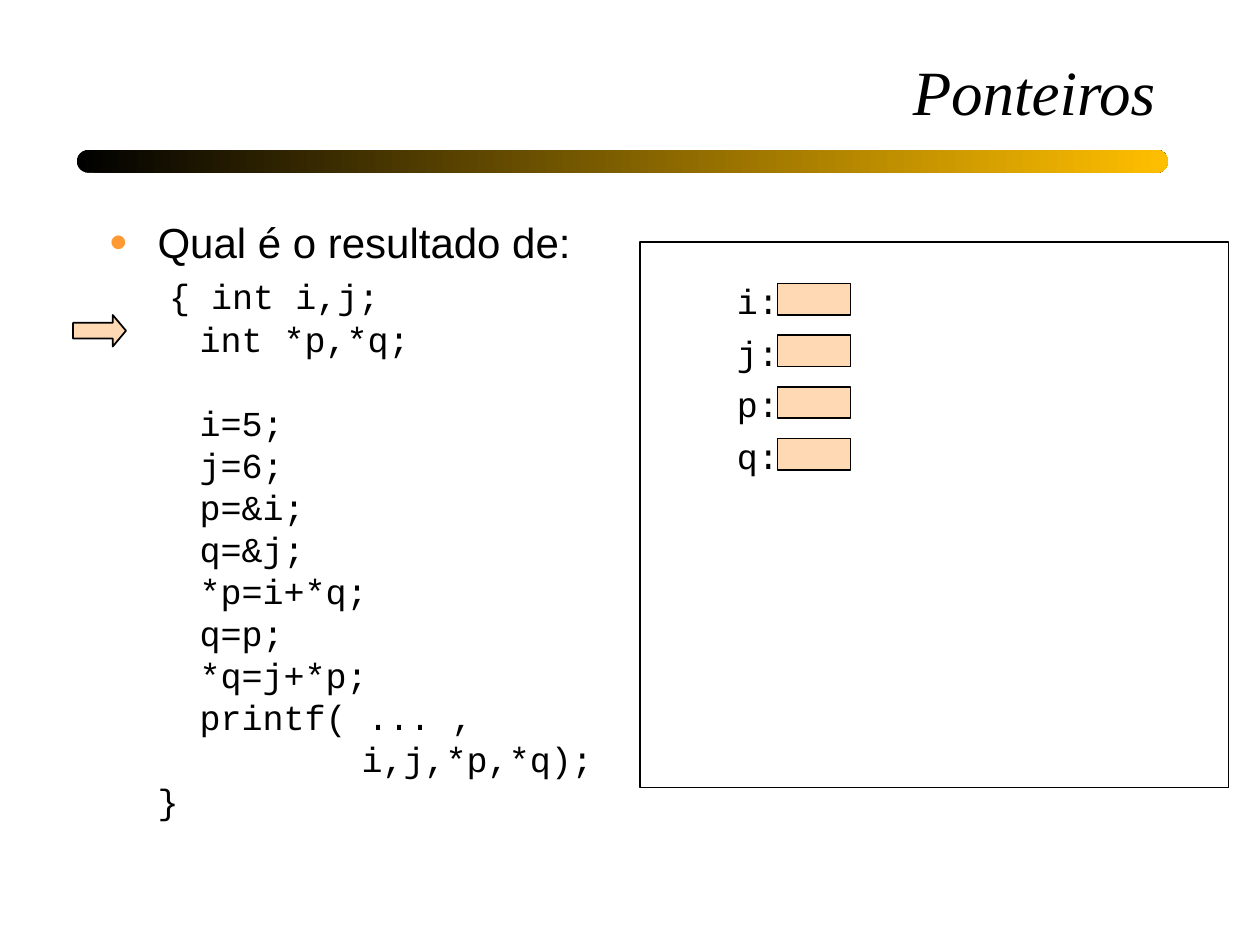
from copy import deepcopy
from dataclasses import dataclass

from lxml.etree import SubElement
from pptx import Presentation
from pptx.dml.color import RGBColor
from pptx.enum.shapes import MSO_SHAPE as Preset
from pptx.enum.text import MSO_ANCHOR as Anchor, MSO_AUTO_SIZE as AutoSize, PP_ALIGN as Align
from pptx.oxml.ns import qn
from pptx.util import Inches, Pt

COLORS = {"ink": "000000", "amber": "FFBF00", "peach": "FFD9B3", "bullet": "FF9933"}
CODE_FONT = "Courier New"
CODE = """{ int i,j;
  int *p,*q;

  i=5;
  j=6;
  p=&i;
  q=&j;
  *p=i+*q; 
  q=p;
  *q=j+*p;
  printf( ... ,
\t\ti,j,*p,*q);
}"""


@dataclass
class Area:
    left: float
    top: float
    width: float
    height: float

    def lengths(self) -> tuple:
        return tuple(Inches(v) for v in (self.left, self.top, self.width, self.height))


@dataclass
class Variable:
    name: str
    top: float


def color(name: str) -> RGBColor:
    return RGBColor.from_string(COLORS[name])


def write(para, text: str, *, font: str, size: float, italic: bool = False) -> None:
    """Add text to a paragraph; line breaks keep the format of the text."""
    for number, line in enumerate(text.split("\n")):
        if number:
            para.add_line_break()
            line_break = para._p.findall(qn("a:br"))[-1]
        span = para.add_run()
        span.text = line
        span.font.name, span.font.size, span.font.italic = font, Pt(size), italic
        span.font.color.rgb = color("ink")
        if number:
            line_break.append(deepcopy(span._r.rPr))
        if not line:
            para._p.remove(span._r)


def add_preset(shapes, preset: Preset, area: Area, fill: str | None = None):
    shape = shapes.add_shape(preset, *area.lengths())
    shape.shadow.inherit = False
    shape.line.color.rgb = color("ink")
    shape.line.width = Pt(1)
    if fill:
        shape.fill.solid()
        shape.fill.fore_color.rgb = color(fill)
    else:
        shape.fill.background()
    return shape


def place(holder, area: Area, anchor: Anchor):
    holder.left, holder.top, holder.width, holder.height = area.lengths()
    frame = holder.text_frame
    frame.word_wrap = True
    frame.auto_size = AutoSize.NONE
    frame.vertical_anchor = anchor
    return frame.paragraphs[0]


def add_bullet_and_tabs(para) -> None:
    props = para._p.get_or_add_pPr()
    props.set("marL", str(Inches(0.38)))
    props.set("indent", str(Inches(-0.38)))
    bullet_color = SubElement(props, qn("a:buClr"))
    SubElement(bullet_color, qn("a:srgbClr"), val=COLORS["bullet"])
    SubElement(props, qn("a:buSzPct"), val="120000")
    SubElement(props, qn("a:buChar"), char="•")
    tabs = SubElement(props, qn("a:tabLst"))
    for inch in range(1, 9):
        SubElement(tabs, qn("a:tab"), pos=str(Inches(inch)), algn="l")


def add_variable(page, variable: Variable) -> None:
    group = page.shapes.add_group_shape()
    add_preset(group.shapes, Preset.RECTANGLE, Area(6.17, variable.top, 0.58, 0.25), "peach")
    # Just wide enough for two characters and the side margins
    label = group.shapes.add_textbox(*Area(5.75, variable.top - 0.08, 0.55, 0.44).lengths())
    label.text_frame.word_wrap = False
    label.text_frame.auto_size = AutoSize.NONE
    write(label.text_frame.paragraphs[0], f"{variable.name}:", font=CODE_FONT, size=20)


def main() -> None:
    deck = Presentation()
    deck.slide_width, deck.slide_height = Inches(10), Inches(7.5)
    page = deck.slides.add_slide(deck.slide_layouts[1])

    # Title and the gradient bar under it
    para = place(page.shapes.title, Area(0.77, 0.15, 8.5, 0.92), Anchor.BOTTOM)
    para.alignment = Align.RIGHT
    write(para, "Ponteiros", font="Times New Roman", size=36, italic=True)
    bar = add_preset(page.shapes, Preset.ROUNDED_RECTANGLE, Area(0.61, 1.19, 8.66, 0.18))
    bar.adjustments[0] = 0.5
    bar.line.fill.background()
    bar.fill.gradient()
    bar.fill.gradient_angle = 0
    for stop, name in zip(bar.fill.gradient_stops, ("ink", "amber")):
        stop.color.rgb = color(name)

    # Question and code
    para = place(page.placeholders[1], Area(0.77, 1.67, 8.5, 5.58), Anchor.TOP)
    add_bullet_and_tabs(para)
    para.space_before = Pt(0)
    write(para, "Qual é o resultado de:\n ", font="Arial", size=24)
    write(para, CODE, font=CODE_FONT, size=20)

    # Memory panel with one cell per variable
    add_preset(page.shapes, Preset.RECTANGLE, Area(5.08, 1.92, 4.67, 4.33))
    for row, name in enumerate("ijpq"):
        add_variable(page, Variable(name, 2.25 + 0.41 * row))

    # Arrow at the current line
    arrow = add_preset(page.shapes, Preset.RIGHT_ARROW, Area(0.58, 2.5, 0.42, 0.25), "peach")
    arrow.adjustments[1] = 0.42

    deck.save("out.pptx")


if __name__ == "__main__":
    main()
